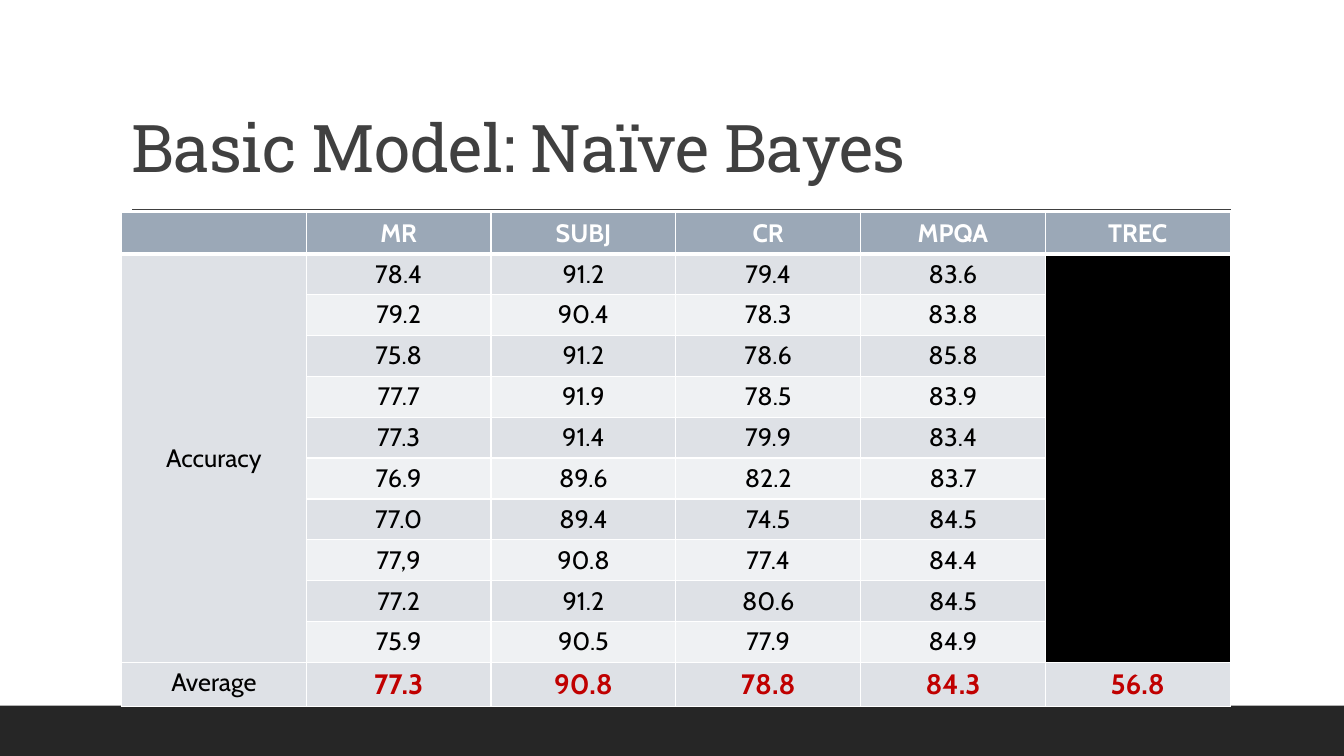
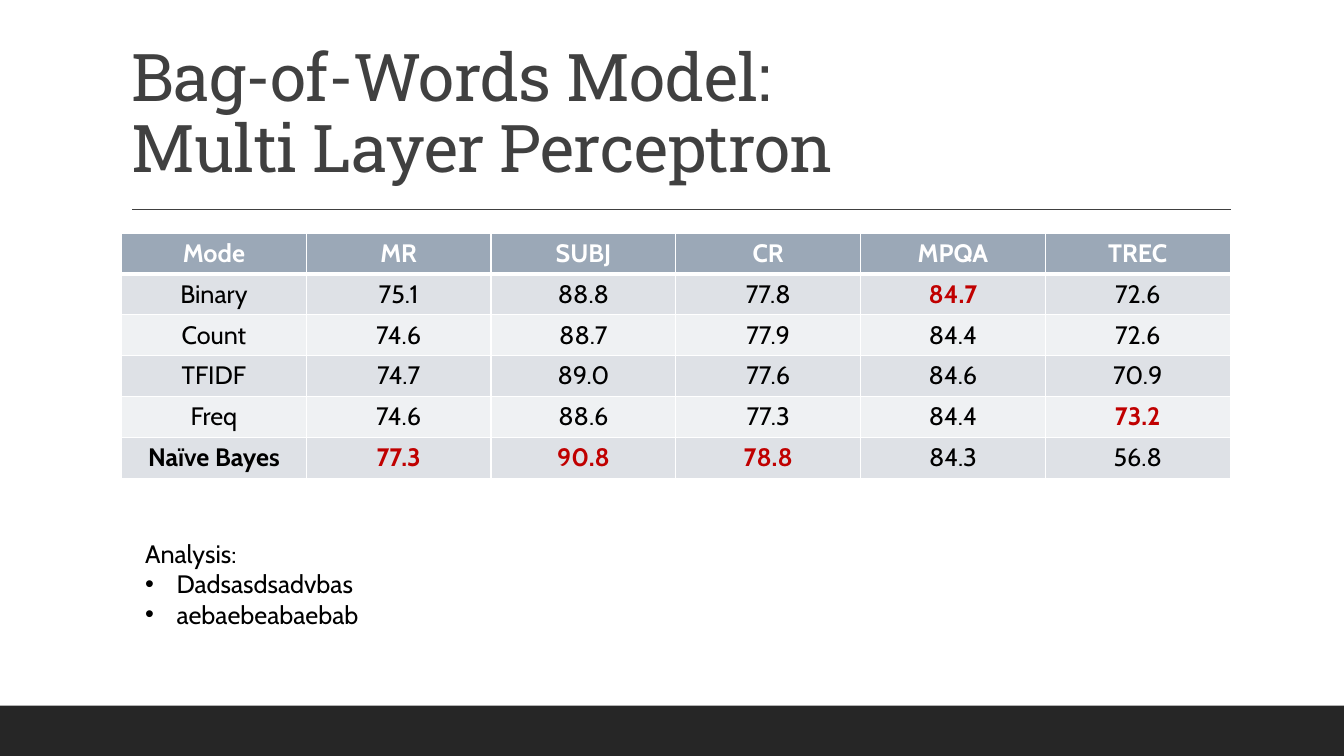
from lxml.etree import SubElement
from pptx import Presentation
from pptx.dml.color import RGBColor
from pptx.enum.shapes import MSO_CONNECTOR, MSO_SHAPE
from pptx.enum.text import MSO_ANCHOR, MSO_AUTO_SIZE, PP_ALIGN
from pptx.oxml.ns import qn
from pptx.util import Pt

HUES = {"band": "262626", "title": "404040", "head": "9BA8B7", "odd": "DEE1E6",
        "even": "EFF1F3", "ink": "000000", "best": "C00000", "white": "FFFFFF"}
WIDE, HIGH = 960, 540
LEFT, SPAN = 86.8, 792
ROW = 29.2

BODY = {"name": "Cabin", "size": Pt(18), "bold": False}
STYLES = {
    "title": ("title", {"name": "Roboto Slab", "size": Pt(47), "bold": False}),
    "head": ("white", {**BODY, "bold": True}),
    "body": ("ink", BODY),
    "strong": ("ink", {**BODY, "bold": True}),
    "best": ("best", {**BODY, "bold": True}),
    "mean": ("best", {**BODY, "bold": True, "size": Pt(20)}),
}

SETS = ["MR", "SUBJ", "CR", "MPQA", "TREC"]
BAYES = [
    ["", *SETS],
    ["Accuracy", "78.4", "91.2", "79.4", "83.6", ""],
    ["", "79.2", "90.4", "78.3", "83.8", ""],
    ["", "75.8", "91.2", "78.6", "85.8", ""],
    ["", "77.7", "91.9", "78.5", "83.9", ""],
    ["", "77.3", "91.4", "79.9", "83.4", ""],
    ["", "76.9", "89.6", "82.2", "83.7", ""],
    ["", "77.0", "89.4", "74.5", "84.5", ""],
    ["", "77,9", "90.8", "77.4", "84.4", ""],
    ["", "77.2", "91.2", "80.6", "84.5", ""],
    ["", "75.9", "90.5", "77.9", "84.9", ""],
    ["Average", "77.3", "90.8", "78.8", "84.3", "56.8"],
]
WORDS = [
    ["Mode", *SETS],
    ["Binary", "75.1", "88.8", "77.8", "84.7", "72.6"],
    ["Count", "74.6", "88.7", "77.9", "84.4", "72.6"],
    ["TFIDF", "74.7", "89.0", "77.6", "84.6", "70.9"],
    ["Freq", "74.6", "88.6", "77.3", "84.4", "73.2"],
    ["Naïve Bayes", "77.3", "90.8", "78.8", "84.3", "56.8"],
]


def hue(key):
    return RGBColor.from_string(HUES[key])


def style(font, key):
    shade, values = STYLES[key]
    for name, value in values.items():
        setattr(font, name, value)
    font.color.rgb = hue(shade)


def fill(part, key):
    part.fill.solid()
    part.fill.fore_color.rgb = hue(key)


def frame(slide):
    # Dark band along the bottom edge
    band = slide.shapes.add_shape(MSO_SHAPE.RECTANGLE, 0, Pt(HIGH - 36), Pt(WIDE), Pt(36))
    band.shadow.inherit = False
    fill(band, "band")
    band.line.fill.background()
    # Rule below the title
    rule = slide.shapes.add_connector(MSO_CONNECTOR.STRAIGHT, Pt(94.4), Pt(149.6), Pt(879), Pt(149.6))
    rule.line.color.rgb = hue("title")
    rule.line.width = Pt(1)
    SubElement(rule._element.spPr, qn("a:effectLst"))


def head(slide, text, box):
    title = slide.shapes.title
    for name, value in zip(("left", "top", "width", "height"), box):
        setattr(title, name, Pt(value))
    body = title.text_frame
    body.auto_size = MSO_AUTO_SIZE.NONE
    body.word_wrap = True
    body.vertical_anchor = MSO_ANCHOR.BOTTOM
    body.text = text
    para = body.paragraphs[0]
    para.alignment = PP_ALIGN.LEFT
    para.line_spacing = 0.9
    for run in para.runs:
        style(run.font, "title")
        run._r.get_or_add_rPr().set("spc", "-50")


def edge(cell, row):
    # White borders, heavy between the header and the body
    sides = {"lnL": 1, "lnR": 1, "lnT": 3 if row == 1 else 1, "lnB": 3 if row == 0 else 1}
    for tag, width in sides.items():
        line = SubElement(cell._tc.get_or_add_tcPr(), qn(f"a:{tag}"), w=str(Pt(width)))
        solid = SubElement(line, qn("a:solidFill"))
        SubElement(solid, qn("a:srgbClr"), val=HUES["white"])


def grid(slide, rows, box, marks):
    left, top, width = box
    count = len(rows[0])
    table = slide.shapes.add_table(len(rows), count, Pt(left), Pt(top),
                                   Pt(width), Pt(ROW * len(rows))).table
    for col in table.columns:
        col.width = Pt(width / count)
    for r, texts in enumerate(rows):
        table.rows[r].height = Pt(ROW)
        shade = "head" if r == 0 else "odd" if r % 2 else "even"
        if r == len(rows) - 1:
            shade = "odd"
        for c, text in enumerate(texts):
            cell = table.cell(r, c)
            edge(cell, r)
            fill(cell, shade)
            para = cell.text_frame.paragraphs[0]
            para.alignment = PP_ALIGN.CENTER
            if text:
                run = para.add_run()
                run.text = text
                style(run.font, marks.get((r, c), "body" if r else "head"))
    return table


def notes(slide, intro, items, box):
    left, top, width, height = box
    body = slide.shapes.add_textbox(Pt(left), Pt(top), Pt(width), Pt(height)).text_frame
    body.word_wrap = False
    body.auto_size = MSO_AUTO_SIZE.SHAPE_TO_FIT_TEXT
    body.text = "\n".join([intro, *items])
    for n, para in enumerate(body.paragraphs):
        style(para.runs[0].font, "body")
        if n:
            props = para._p.get_or_add_pPr()
            props.set("marL", str(Pt(22.5)))
            props.set("indent", str(Pt(-22.5)))
            SubElement(props, qn("a:buFont"), typeface="Arial")
            SubElement(props, qn("a:buChar"), char="•")


def start(deck, text):
    slide = deck.slides.add_slide(deck.slide_layouts[5])
    frame(slide)
    head(slide, text, (LEFT, 22.5, SPAN, 114.5))
    return slide


def bayes(deck):
    slide = start(deck, "Basic Model: Naïve Bayes")
    last = len(BAYES) - 1
    marks = {(last, c): "mean" for c in range(1, 6)}
    table = grid(slide, BAYES, (LEFT, 152, SPAN), marks)
    # Tall cells at both sides of the scores
    for col in (0, 5):
        table.cell(1, col).merge(table.cell(last - 1, col))
    table.cell(1, 0).vertical_anchor = MSO_ANCHOR.MIDDLE
    fill(table.cell(1, 5), "ink")


def words(deck):
    slide = start(deck, "Bag-of-Words Model: \vMulti Layer Perceptron")
    tops = [(1, 4), (4, 5), (5, 1), (5, 2), (5, 3)]
    marks = {**dict.fromkeys(tops, "best"), (5, 0): "strong"}
    grid(slide, WORDS, (LEFT, 166.4, SPAN), marks)
    notes(slide, "Analysis:", ["Dadsasdsadvbas", "aebaebeabaebab"], (96.5, 381, 171.4, 72.7))


def main():
    deck = Presentation()
    deck.slide_width, deck.slide_height = Pt(WIDE), Pt(HIGH)
    bayes(deck)
    words(deck)
    deck.save("out.pptx")


if __name__ == "__main__":
    main()
